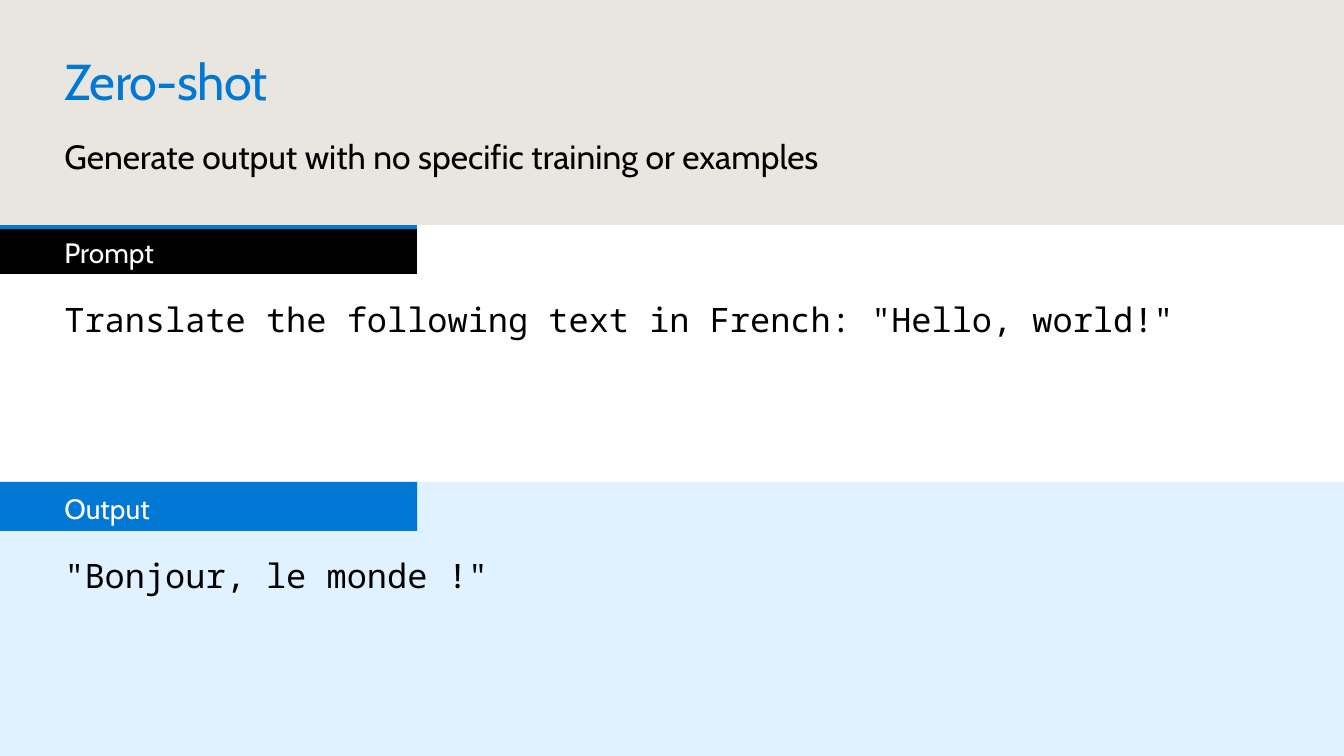
"""Builds a slide that shows a zero-shot prompt and its output."""
from copy import deepcopy
from dataclasses import dataclass

from lxml import etree
from pptx import Presentation
from pptx.dml.color import RGBColor
from pptx.enum import shapes, text
from pptx.oxml import ns
from pptx.util import Pt


@dataclass(frozen=True)
class Theme:
    sand: str = "E8E6DF"
    white: str = "FFFFFF"
    black: str = "000000"
    blue: str = "0078D4"
    pale_blue: str = "C3E5FF"
    sans: str = "Cabin"
    mono: str = "Noto Sans Mono"
    title_size: int = 36
    body_size: int = 24
    label_size: int = 20


class SlideBuilder:
    def __init__(self, slide, theme):
        self.slide = slide
        self.theme = theme

    def background(self, color):
        fill = self.slide.background.fill
        fill.solid()
        fill.fore_color.rgb = RGBColor.from_string(color)

    def add_words(self, shape, words, size, color, font, insets=(0, 0, 0, 0)):
        frame = shape.text_frame
        frame.word_wrap = True
        frame.auto_size = text.MSO_AUTO_SIZE.NONE
        frame.vertical_anchor = text.MSO_ANCHOR.TOP
        (frame.margin_left, frame.margin_top,
         frame.margin_right, frame.margin_bottom) = map(Pt, insets)
        paragraph = frame.paragraphs[0]
        paragraph.alignment = text.PP_ALIGN.LEFT
        run = paragraph.add_run()
        run.text = words
        run.font.size = Pt(size)
        run.font.name = font
        run.font.color.rgb = RGBColor.from_string(color)
        return run

    def title(self, words, left, top, width, height):
        shape = self.slide.shapes.title
        shape.left, shape.top = Pt(left), Pt(top)
        shape.width, shape.height = Pt(width), Pt(height)
        theme = self.theme
        run = self.add_words(shape, words, theme.title_size, theme.blue, theme.sans)
        run.font._element.set("spc", "-50")

    def text_box(self, words, left, top, width, height, font):
        shape = self.slide.shapes.add_textbox(
            Pt(left), Pt(top), Pt(width), Pt(height))
        self.add_words(shape, words, self.theme.body_size, self.theme.black, font)

    def panel(self, left, top, width, height, color, opacity=100):
        shape = self.slide.shapes.add_shape(
            shapes.MSO_SHAPE.RECTANGLE, Pt(left), Pt(top), Pt(width), Pt(height))
        shape.shadow.inherit = False
        shape.line.fill.background()
        shape.fill.solid()
        shape.fill.fore_color.rgb = RGBColor.from_string(color)
        if opacity < 100:
            value = next(shape._element.spPr.iter(ns.qn("a:srgbClr")))
            etree.SubElement(value, ns.qn("a:alpha"), val=str(opacity * 1000))
        return shape

    def label(self, words, left, top, width, height, color, indent):
        shape = self.panel(left, top, width, height, color)
        theme = self.theme
        self.add_words(shape, words, theme.label_size, theme.white, theme.sans,
                       (indent, 7.2, 0, 3.6))
        return shape

    def top_stripe(self, shape, base, stripe, start):
        shape.fill.gradient()
        shape.fill.gradient_angle = 90
        stop_list = next(shape._element.spPr.iter(ns.qn("a:gsLst")))
        stop_list.append(deepcopy(stop_list[-1]))
        stops = ((0, base), (start, base), (start, stripe))
        for stop, (position, color) in zip(shape.fill.gradient_stops, stops):
            stop.position = position
            stop.color.rgb = RGBColor.from_string(color)


def main():
    theme = Theme()
    presentation = Presentation()
    presentation.slide_width, presentation.slide_height = Pt(960), Pt(540)
    slide = presentation.slides.add_slide(presentation.slide_layouts[5])
    builder = SlideBuilder(slide, theme)

    margin, text_width = 46, 868
    prompt_top, output_top = 160.8, 344.2
    builder.background(theme.sand)
    builder.panel(0, prompt_top, 960, 540 - prompt_top, theme.white)
    builder.panel(0, output_top, 960, 540 - output_top, theme.pale_blue, 50)

    builder.title("Zero-shot", margin, 36, text_width, 44)
    builder.text_box("Generate output with no specific training or examples",
                     margin, 97.2, text_width, 64, theme.sans)

    sections = (
        ("Prompt", prompt_top, theme.black,
         'Translate the following text in French: "Hello, world!"'),
        ("Output", output_top, theme.blue, '"Bonjour, le monde !"'),
    )
    labels = {}
    for name, top, color, words in sections:
        labels[name] = builder.label(name, 0, top, 298, 35, color, margin)
        builder.text_box(words, margin, top + 52.4, text_width, 29, theme.mono)
    builder.top_stripe(labels["Prompt"], theme.black, theme.blue, 0.92)

    presentation.save("out.pptx")


if __name__ == "__main__":
    main()
